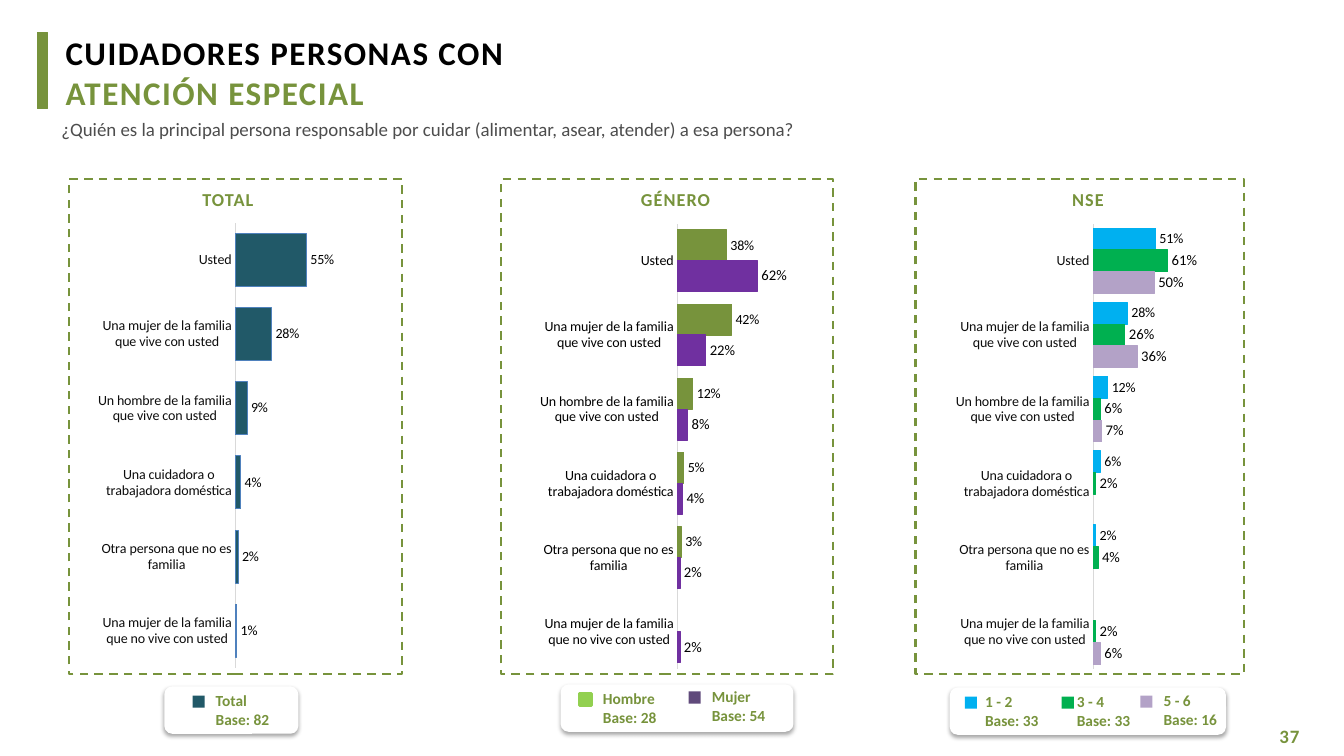
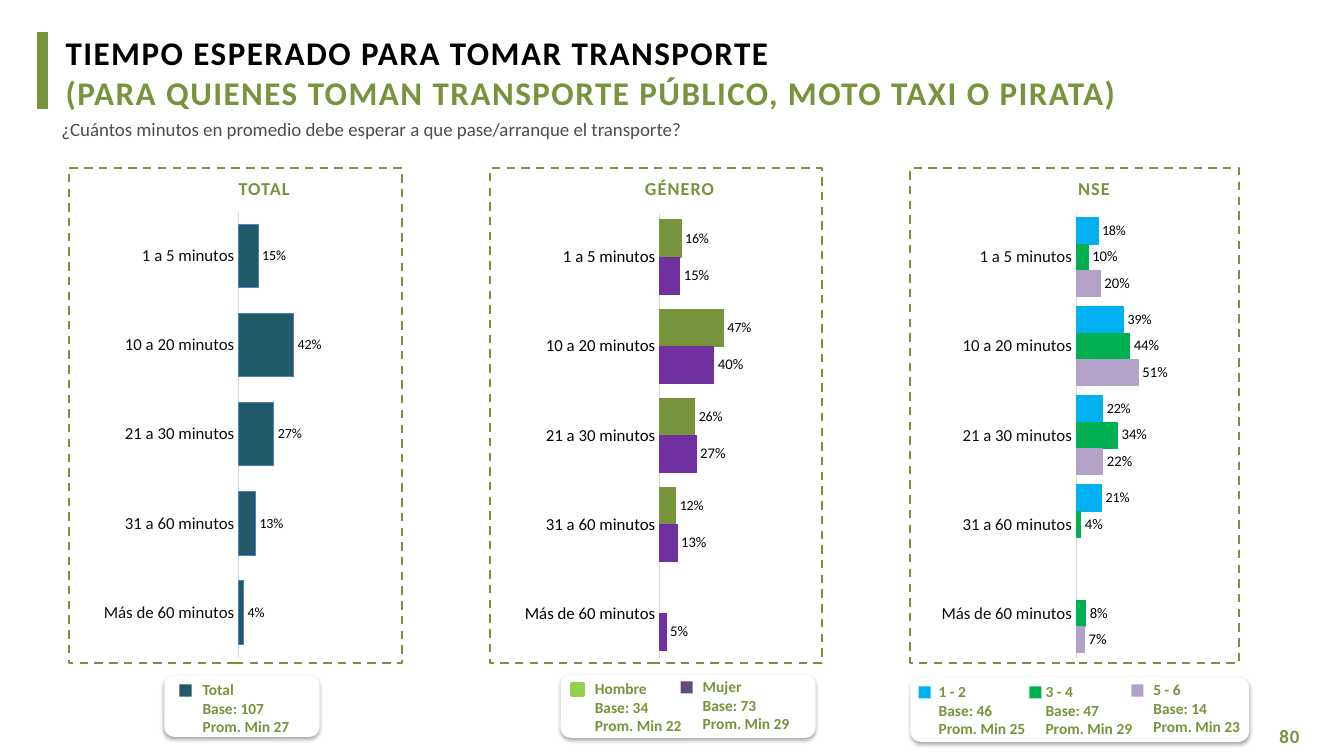
from itertools import cycle

from lxml import etree
from pptx import Presentation
from pptx.chart.data import CategoryChartData
from pptx.dml.color import RGBColor
from pptx.enum.chart import XL_CHART_TYPE, XL_LABEL_POSITION, XL_TICK_MARK
from pptx.enum.dml import MSO_LINE
from pptx.enum.shapes import MSO_SHAPE
from pptx.enum.text import MSO_ANCHOR, MSO_AUTO_SIZE, PP_ALIGN
from pptx.oxml.ns import qn
from pptx.util import Pt

PX = 9144
FONT = "Calibri"
PERCENT = "###0%"

RECTANGLE = MSO_SHAPE.RECTANGLE
ROUNDED = MSO_SHAPE.ROUNDED_RECTANGLE
LEFT = PP_ALIGN.LEFT
CENTER = PP_ALIGN.CENTER
TOP = MSO_ANCHOR.TOP
NO_AUTOFIT = MSO_AUTO_SIZE.NONE
DASH = MSO_LINE.DASH
BARS = XL_CHART_TYPE.BAR_CLUSTERED
OUTSIDE = XL_LABEL_POSITION.OUTSIDE_END
NO_TICK = XL_TICK_MARK.NONE

WHITE = RGBColor(0xFF, 0xFF, 0xFF)
BLACK = RGBColor(0x00, 0x00, 0x00)
INK = RGBColor(0x0D, 0x0D, 0x0D)
GRAY = RGBColor(0x4D, 0x4D, 0x4D)
PALE_GRAY = RGBColor(0xD9, 0xD9, 0xD9)
OLIVE = RGBColor(0x77, 0x93, 0x3C)
LIME = RGBColor(0x92, 0xD0, 0x50)
TEAL = RGBColor(0x21, 0x59, 0x68)
BLUE = RGBColor(0x4F, 0x81, 0xBD)
PURPLE = RGBColor(0x70, 0x30, 0xA0)
PLUM = RGBColor(0x60, 0x4A, 0x7B)
SKY = RGBColor(0x00, 0xB0, 0xF0)
GREEN = RGBColor(0x00, 0xB0, 0x50)
LILAC = RGBColor(0xB3, 0xA2, 0xC7)

STYLES = [
    {"heading": "TOTAL", "names": ["Total"], "bars": [TEAL], "outlines": [BLUE],
     "swatches": [TEAL], "axis": INK, "plot": (0.42, 0.38), "width": 331, "lift": 1},
    {"heading": "GÉNERO", "names": ["Hombre", "Mujer"], "bars": [OLIVE, PURPLE],
     "outlines": [OLIVE, PURPLE], "swatches": [LIME, PLUM], "axis": BLACK,
     "plot": (0.43, 0.38), "width": 329, "lift": 0},
    {"heading": "NSE", "names": ["1 - 2", "3 - 4", "5 - 6"], "bars": [SKY, GREEN, LILAC],
     "outlines": [SKY, GREEN, LILAC], "swatches": [SKY, GREEN, LILAC], "axis": INK,
     "plot": (0.44, 0.36), "width": 326, "lift": 0},
]

PAGES = [
    {
        "number": "37",
        "title": "CUIDADORES PERSONAS CON\nATENCIÓN ESPECIAL",
        "question": "¿Quién es la principal persona responsable por cuidar "
                    "(alimentar, asear, atender) a esa persona?",
        "top": 178,
        "axis_size": 10,
        "categories": ["Usted", "Una mujer de la familia que vive con usted",
                       "Un hombre de la familia que vive con usted",
                       "Una cuidadora o trabajadora doméstica",
                       "Otra persona que no es familia",
                       "Una mujer de la familia que no vive con usted"],
        "panels": [
            {"left": 68, "heading": 108, "chart": (92, 337), "legend": (163, 681, 133, 47),
             "keys": [(191, 214, 681, "Base: 82")],
             "values": [[0.55, 0.28, 0.09, 0.04, 0.02, 0.01]]},
            {"left": 497, "heading": 552, "chart": (527, 337), "legend": (556, 679, 231, 47),
             "keys": [(575, 598, 679, "Base: 28"), (683, 706, 677, "Base: 54")],
             "values": [[0.38, 0.42, 0.12, 0.05, 0.03, None],
                        [0.62, 0.22, 0.08, 0.04, 0.02, 0.02]]},
            {"left": 908, "heading": 961, "chart": (936, 337), "legend": (942, 682, 274, 47),
             "keys": [(957, 977, 682, "Base: 33"), (1053, 1068, 682, "Base: 33"),
                      (1131, 1154, 681, "Base: 16")],
             "values": [[0.51, 0.28, 0.12, 0.06, 0.02, None],
                        [0.61, 0.26, 0.06, 0.02, 0.04, 0.02],
                        [0.5, 0.36, 0.07, None, None, 0.06]]},
        ],
    },
    {
        "number": "80",
        "title": "TIEMPO ESPERADO PARA TOMAR TRANSPORTE\n"
                 "(PARA QUIENES TOMAN TRANSPORTE PÚBLICO, MOTO TAXI O PIRATA)",
        "question": "¿Cuántos minutos en promedio debe esperar a que pase/arranque "
                    "el transporte?",
        "top": 167,
        "axis_size": 12,
        "categories": ["1 a 5 minutos", "10 a 20 minutos", "21 a 30 minutos",
                       "31 a 60 minutos", "Más de 60 minutos"],
        "panels": [
            {"left": 68, "heading": 144, "chart": (92, 344), "legend": (163, 670, 154, 61),
             "keys": [(178, 201, 670, "Base: 107\nProm. Min 27")],
             "values": [[0.15, 0.42, 0.27, 0.13, 0.04]]},
            {"left": 486, "heading": 556, "chart": (501, 356), "legend": (556, 669, 253, 63),
             "keys": [(567, 590, 669, "Base: 34\nProm. Min 22"),
                      (675, 697, 667, "Base: 73\nProm. Min 29")],
             "values": [[0.16, 0.47, 0.26, 0.12, None],
                        [0.15, 0.4, 0.27, 0.13, 0.05]]},
            {"left": 903, "heading": 967, "chart": (919, 337), "legend": (903, 672, 336, 64),
             "keys": [(911, 931, 672, "Base: 46\nProm. Min 25"),
                      (1021, 1037, 672, "Base: 47\nProm. Min 29"),
                      (1122, 1144, 670, "Base: 14\nProm. Min 23")],
             "values": [[0.18, 0.39, 0.22, 0.21, None],
                        [0.1, 0.44, 0.34, 0.04, 0.08],
                        [0.2, 0.51, 0.22, None, 0.07]]},
        ],
    },
]


def write(box, text, area, size, colors=(OLIVE,), bold=True, spacing=0, align=LEFT, gap=0):
    box.left, box.top, box.width, box.height = [length * PX for length in area]
    frame = box.text_frame
    frame.word_wrap = True
    frame.auto_size = NO_AUTOFIT
    frame.vertical_anchor = TOP
    frame.margin_left = frame.margin_top = frame.margin_right = frame.margin_bottom = 0
    for index, (line, color) in enumerate(zip(text.split("\n"), cycle(colors))):
        para = frame.add_paragraph() if index else frame.paragraphs[0]
        para.alignment = align
        para.space_before = Pt(gap if index else 0)
        span = para.add_run()
        span.text = line
        span.font.name = FONT
        span.font.size = Pt(size)
        span.font.bold = bold
        span.font.color.rgb = color
        span.font._element.set("spc", str(spacing))


def add_block(page, kind, area, fill=None, line=None, weight=0.75):
    block = page.shapes.add_shape(kind, *[length * PX for length in area])
    block.shadow.inherit = False
    if fill is None:
        block.fill.background()
    else:
        block.fill.solid()
        block.fill.fore_color.rgb = fill
    if line is None:
        block.line.fill.background()
    else:
        block.line.color.rgb = line
        block.line.width = Pt(weight)
    return block


deck = Presentation()
deck.slide_width = 1333 * PX
deck.slide_height = 750 * PX

for content in PAGES:
    page = deck.slides.add_slide(deck.slide_layouts[5])
    top = content["top"]
    add_block(page, RECTANGLE, (37, 32, 10, 76), OLIVE, OLIVE)
    write(page.shapes.title, content["title"], (65, 32, 1107, 82), 23.6,
          colors=(BLACK, OLIVE), spacing=105, gap=0.7)
    write(page.shapes.add_textbox(0, 0, 0, 0), content["question"], (61, 117, 993, 24), 13.5,
          colors=(GRAY,), bold=False)
    write(page.shapes.add_textbox(0, 0, 0, 0), content["number"], (1269, 719, 49, 24), 13.5,
          spacing=60)

    for style, panel in zip(STYLES, content["panels"]):
        frame = add_block(page, RECTANGLE, (panel["left"], top, style["width"], 491),
                          line=OLIVE, weight=1.5)
        frame.line.dash_style = DASH
        write(page.shapes.add_textbox(0, 0, 0, 0), style["heading"],
              (panel["heading"], top + 9, 236, 23), 13, spacing=80, align=CENTER)

        legend = add_block(page, ROUNDED, panel["legend"], WHITE)
        effects = legend._element.spPr.find(qn("a:effectLst"))
        shadow = etree.SubElement(effects, qn("a:outerShdw"), blurRad="39370", dist="22860",
                                  dir="5400000", rotWithShape="0")
        shade = etree.SubElement(shadow, qn("a:srgbClr"), val="000000")
        etree.SubElement(shade, qn("a:alpha"), val="35000")
        for name, color, key in zip(style["names"], style["swatches"], panel["keys"]):
            swatch_left, text_left, key_top, detail = key
            add_block(page, RECTANGLE, (swatch_left, key_top + 9, 12, 12), color,
                      LIME if color == LIME else None, 2)
            write(page.shapes.add_textbox(0, 0, 0, 0), name + "\n" + detail,
                  (text_left, key_top + 5, 97, 56), 11)

        data = CategoryChartData(number_format=PERCENT)
        data.categories = content["categories"]
        for name, values in zip(style["names"], panel["values"]):
            data.add_series(name, values)
        chart_left, chart_width = panel["chart"]
        chart = page.shapes.add_chart(BARS, chart_left * PX, (top + 25 - style["lift"]) * PX,
                                      chart_width * PX, 475 * PX, data).chart
        chart.has_legend = False
        chart.has_title = False
        chart.font.name = FONT
        chart.font.size = Pt(10)
        chart.font.color.rgb = BLACK

        category_axis = chart.category_axis
        category_axis.reverse_order = True
        category_axis.major_tick_mark = NO_TICK
        category_axis.minor_tick_mark = NO_TICK
        category_axis.format.line.color.rgb = PALE_GRAY
        category_axis.format.line.width = Pt(0.75)
        category_axis.tick_labels.font.name = FONT
        category_axis.tick_labels.font.size = Pt(content["axis_size"])
        category_axis.tick_labels.font.color.rgb = style["axis"]
        value_axis = chart.value_axis
        value_axis.minimum_scale = 0
        value_axis.maximum_scale = 1
        value_axis.has_major_gridlines = False
        value_axis.visible = False

        plot = chart.plots[0]
        plot.gap_width = 40
        plot.overlap = 0
        plot.vary_by_categories = False
        for index, series in enumerate(plot.series):
            series.invert_if_negative = False
            series.format.fill.solid()
            series.format.fill.fore_color.rgb = style["bars"][index]
            series.format.line.color.rgb = style["outlines"][index]
            series.format.line.width = Pt(0.75)
            labels = series.data_labels
            labels.show_value = True
            labels.position = OUTSIDE
            labels.number_format = PERCENT
            labels.number_format_is_linked = False
            labels.font.name = FONT
            labels.font.size = Pt(10.5 if index else 10)
            labels.font.color.rgb = BLACK

        plot_area = chart._chartSpace.chart.plotArea
        for old_layout in plot_area.findall(qn("c:layout")):
            plot_area.remove(old_layout)
        layout = etree.Element(qn("c:layout"))
        plot_area.insert(0, layout)
        manual = etree.SubElement(layout, qn("c:manualLayout"))
        plot_left, plot_width = style["plot"]
        for tag, setting in (("layoutTarget", "inner"), ("xMode", "edge"), ("yMode", "edge"),
                             ("x", plot_left), ("y", 0.04), ("w", plot_width), ("h", 0.93)):
            etree.SubElement(manual, qn("c:" + tag), val=str(setting))

deck.save("out.pptx")
